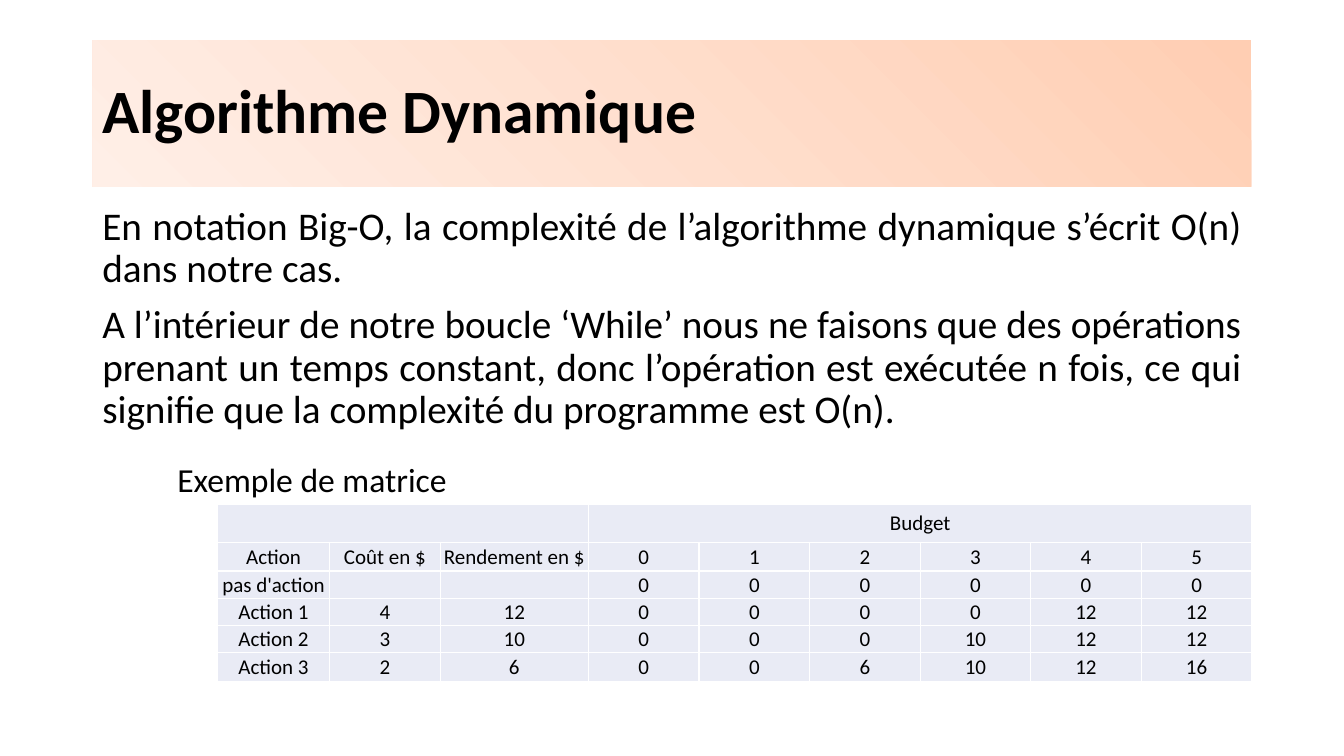
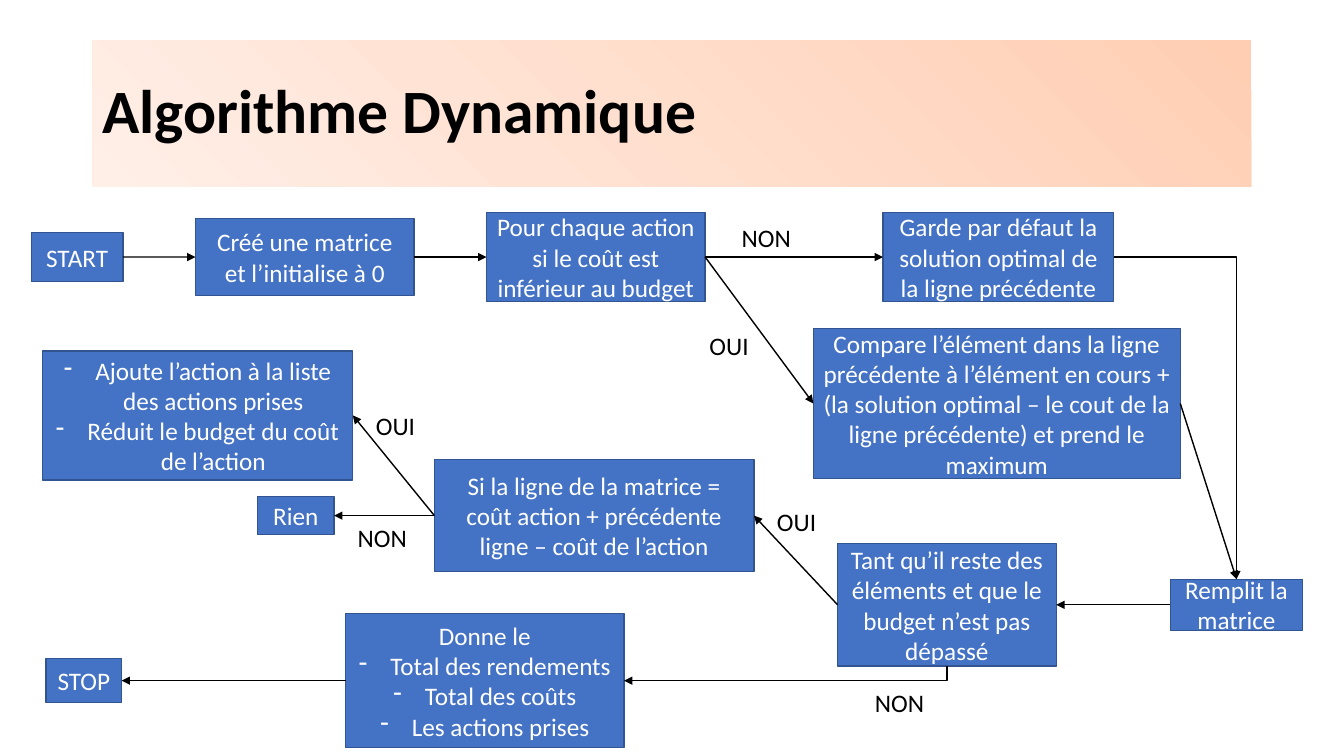
from dataclasses import dataclass

from lxml import etree
from pptx import Presentation
from pptx.dml.color import RGBColor
from pptx.enum import shapes, text
from pptx.oxml import ns
from pptx.util import Pt

BLACK = RGBColor(0x00, 0x00, 0x00)
WHITE = RGBColor(0xFF, 0xFF, 0xFF)
BOX_BLUE = RGBColor(0x44, 0x72, 0xC4)
BOX_EDGE = RGBColor(0x32, 0x54, 0x91)
CELL_FILL = RGBColor(0xE9, 0xEB, 0xF5)
BAND_DARK = RGBColor(0xFF, 0xCE, 0xB3)
BAND_LIGHT = RGBColor(0xFF, 0xEF, 0xE7)

FONT = "Calibri"
TOP, LEFT, BOTTOM, RIGHT = range(4)
MARGIN, CONTENT_WIDTH = 66, 828
BULLET = "- "
BULLET_INDENT = 22.5


@dataclass(frozen=True)
class Step:
    """A box of the flow chart, placed by its left edge and its middle height."""
    left: float
    middle: float
    width: float
    height: float
    label: str


@dataclass(frozen=True)
class Link:
    start: str
    start_side: int
    end: str
    end_side: int
    bent: bool = False


@dataclass(frozen=True)
class Label:
    left: float
    top: float
    width: float
    label: str


ROW_1, ROW_2, ROW_3, ROW_4 = 183.6, 368.3, 432, 486.2

STEPS = {
    "result": Step(247, ROW_4, 198.7, 95.8,
                   "Donne le\n- Total des rendements\n- Total des coûts\n- Les actions prises"),
    "take": Step(30.2, 296.7, 221.8, 92.2,
                 "- Ajoute l’action à la liste des actions prises\n"
                 "- Réduit le budget du coût de l’action"),
    "check": Step(310.3, ROW_2, 228.2, 79.9,
                  "Si la ligne de la matrice = coût action + précédente ligne – coût de l’action"),
    "nothing": Step(183.8, ROW_2, 54.9, 27.4, "Rien"),
    "while": Step(598.3, ROW_3, 156.2, 87.8,
                  "Tant qu’il reste des éléments et que le budget n’est pas dépassé"),
    "fill": Step(836, ROW_3, 94.5, 36.5, "Remplit la matrice"),
    "keep": Step(630.7, ROW_1, 164.9, 63.4,
                 "Garde par défaut la solution optimal de la ligne précédente"),
    "stop": Step(32.9, ROW_4, 54, 31.7, "STOP"),
    "compare": Step(581, 288.2, 262.1, 107.3,
                    "Compare l’élément dans la ligne précédente à l’élément en cours + "
                    "(la solution optimal – le cout de la ligne précédente) "
                    "et prend le maximum"),
    "each": Step(347.5, ROW_1, 156.2, 63.4,
                 "Pour chaque action si le coût est inférieur au budget"),
    "create": Step(139.7, ROW_1, 156.2, 54.7, "Créé une matrice et l’initialise à 0"),
    "start": Step(22.3, ROW_1, 65.5, 35.3, "START"),
}

LINKS = [
    Link("start", RIGHT, "create", LEFT),
    Link("create", RIGHT, "each", LEFT),
    Link("each", RIGHT, "keep", LEFT),
    Link("each", RIGHT, "compare", LEFT),
    Link("compare", RIGHT, "fill", TOP),
    Link("fill", LEFT, "while", RIGHT),
    Link("while", LEFT, "check", RIGHT),
    Link("check", LEFT, "nothing", RIGHT),
    Link("check", LEFT, "take", RIGHT),
    Link("result", LEFT, "stop", RIGHT),
    Link("keep", RIGHT, "fill", TOP, bent=True),
    Link("while", BOTTOM, "result", RIGHT, bent=True),
]

LABELS = [
    Label(499.7, 232.6, 42.5, "OUI"),
    Label(617.8, 487.4, 49.7, "NON"),
    Label(547.9, 357.8, 42.5, "OUI"),
    Label(261.4, 289.4, 42.5, "OUI"),
    Label(522.7, 155.5, 49.7, "NON"),
    Label(248.4, 369.4, 49.7, "NON"),
]

COMPLEXITY = (
    "En notation Big-O, la complexité de l’algorithme dynamique s’écrit O(n) dans notre cas.\n"
    "A l’intérieur de notre boucle ‘While’ nous ne faisons que des opérations prenant un temps "
    "constant, donc l’opération est exécutée n fois, ce qui signifie que la complexité du "
    "programme est O(n)."
)

MATRIX = [
    ["", "", "", "Budget", "", "", "", "", ""],
    ["Action", "Coût en $", "Rendement en $", "0", "1", "2", "3", "4", "5"],
    ["pas d'action", "", "", "0", "0", "0", "0", "0", "0"],
    ["Action 1", "4", "12", "0", "0", "0", "0", "12", "12"],
    ["Action 2", "3", "10", "0", "0", "0", "10", "12", "12"],
    ["Action 3", "2", "6", "0", "0", "6", "10", "12", "16"],
]
MATRIX_WIDTHS = [80, 79, 106] + [79] * 6
MATRIX_HEIGHTS = [27, 20.5, 19.5, 19.5, 19.5, 20.5]


def sub(parent, tag: str, **attributes: str):
    return etree.SubElement(parent, ns.qn(tag), attributes)


def write_text(frame, content: str, *, size: float, color: RGBColor = BLACK,
               bold: bool = False, align=None, spacing: float | None = None,
               before: float | None = None) -> None:
    """Write one paragraph a line; lines that begin with a dash become bullets."""
    for index, line in enumerate(content.split("\n")):
        para = frame.add_paragraph() if index else frame.paragraphs[0]
        para.alignment = align
        if spacing:
            para.line_spacing = spacing
        if before:
            para.space_before = Pt(before)
        if line.startswith(BULLET):
            properties = para._p.get_or_add_pPr()
            properties.set("marL", str(Pt(BULLET_INDENT)))
            properties.set("indent", str(-Pt(BULLET_INDENT)))
            sub(properties, "a:buFontTx")
            sub(properties, "a:buChar", char="-")
        if not line:
            para._p.get_or_add_endParaRPr().set("sz", str(size * 100))
            continue
        span = para.add_run()
        span.text = line.removeprefix(BULLET)
        span.font.name = FONT
        span.font.size = Pt(size)
        span.font.bold = bold
        span.font.color.rgb = color


def add_rectangle(page, left: float, top: float, width: float, height: float):
    box = page.shapes.add_shape(shapes.MSO_SHAPE.RECTANGLE,
                                Pt(left), Pt(top), Pt(width), Pt(height))
    box.shadow.inherit = False
    box.text_frame.vertical_anchor = text.MSO_ANCHOR.MIDDLE
    return box


def add_title(page, title: str) -> None:
    band = add_rectangle(page, MARGIN, 28.75, CONTENT_WIDTH, 104.4)
    band.line.fill.background()
    band.fill.gradient()
    band.fill.gradient_angle = 225
    for stop, color in zip(band.fill.gradient_stops, (BAND_DARK, BAND_LIGHT)):
        stop.color.rgb = color
    write_text(band.text_frame, title, size=44, bold=True,
               align=text.PP_ALIGN.LEFT, spacing=0.9)


def add_label(page, label: Label, size: float, height: float) -> None:
    box = page.shapes.add_textbox(Pt(label.left), Pt(label.top), Pt(label.width), Pt(height))
    box.text_frame.word_wrap = False
    box.text_frame.auto_size = text.MSO_AUTO_SIZE.SHAPE_TO_FIT_TEXT
    write_text(box.text_frame, label.label, size=size)


def format_cell(cell, content: str, margins: tuple[float, ...], anchor) -> None:
    (cell.margin_left, cell.margin_top,
     cell.margin_right, cell.margin_bottom) = map(Pt, margins)
    cell.vertical_anchor = anchor
    properties = cell._tc.get_or_add_tcPr()
    for side in ("a:lnL", "a:lnR", "a:lnT", "a:lnB"):
        border = sub(properties, side, w=str(Pt(1)))
        sub(sub(border, "a:solidFill"), "a:srgbClr", val=str(WHITE))
    cell.fill.solid()
    cell.fill.fore_color.rgb = CELL_FILL
    write_text(cell.text_frame, content, size=15, align=text.PP_ALIGN.CENTER)


def add_matrix(page, left: float, top: float) -> None:
    table = page.shapes.add_table(len(MATRIX), len(MATRIX_WIDTHS), Pt(left), Pt(top),
                                  Pt(sum(MATRIX_WIDTHS)), Pt(sum(MATRIX_HEIGHTS))).table
    table.first_row = table.horz_banding = False
    for column, width in zip(table.columns, MATRIX_WIDTHS):
        column.width = Pt(width)
    for row, height in zip(table.rows, MATRIX_HEIGHTS):
        row.height = Pt(height)
    for r, values in enumerate(MATRIX):
        margins = (0.7, 0.7, 0.7, 0) if r else (8.6, 4.3, 8.6, 4.3)
        anchor = text.MSO_ANCHOR.MIDDLE if r else text.MSO_ANCHOR.BOTTOM
        for c, value in enumerate(values):
            format_cell(table.cell(r, c), value, margins, anchor)
    table.cell(0, 0).merge(table.cell(0, 2))
    table.cell(0, 3).merge(table.cell(0, 8))


def add_step(page, step: Step):
    box = add_rectangle(page, step.left, step.middle - step.height / 2,
                        step.width, step.height)
    box.fill.solid()
    box.fill.fore_color.rgb = BOX_BLUE
    box.line.color.rgb = BOX_EDGE
    box.line.width = Pt(1)
    write_text(box.text_frame, step.label, size=18, color=WHITE, align=text.PP_ALIGN.CENTER)
    return box


def turn_down_first(connector) -> None:
    """Turn a one-corner connector so that it goes down, then left."""
    across = connector.begin_x - connector.end_x
    down = connector.end_y - connector.begin_y
    center_x = (connector.begin_x + connector.end_x) // 2
    center_y = (connector.begin_y + connector.end_y) // 2
    connector._element.spPr.xfrm.flipH = False
    connector.left, connector.top = center_x - down // 2, center_y - across // 2
    connector.width, connector.height = down, across
    connector.rotation = 90


def add_link(page, link: Link, boxes: dict) -> None:
    kind = shapes.MSO_CONNECTOR.ELBOW if link.bent else shapes.MSO_CONNECTOR.STRAIGHT
    connector = page.shapes.add_connector(kind, Pt(0), Pt(0), Pt(0), Pt(0))
    connector.begin_connect(boxes[link.start], link.start_side)
    connector.end_connect(boxes[link.end], link.end_side)
    connector.line.color.rgb = BLACK
    connector.line.width = Pt(1)
    properties = connector._element.spPr
    sub(connector.line._get_or_add_ln(), "a:tailEnd", type="triangle")
    sub(properties, "a:effectLst")
    if link.bent:
        properties.find(ns.qn("a:prstGeom")).set("prst", "bentConnector2")
        if link.start_side == BOTTOM:
            turn_down_first(connector)


def build_complexity(page) -> None:
    body = page.shapes.add_textbox(Pt(MARGIN), Pt(143.75), Pt(CONTENT_WIDTH), Pt(342.6))
    body.text_frame.word_wrap = True
    write_text(body.text_frame, COMPLEXITY, size=28, align=text.PP_ALIGN.JUSTIFY,
               spacing=0.9, before=10)
    add_matrix(page, 155.4, 360.4)
    add_label(page, Label(119.6, 324, 208.8, "Exemple de matrice"), 24, 36.3)


def build_flow_chart(page) -> None:
    boxes = {name: add_step(page, step) for name, step in STEPS.items()}
    for link in LINKS:
        add_link(page, link, boxes)
    for label in LABELS:
        add_label(page, label, 18, 29.1)


def main() -> None:
    deck = Presentation()
    deck.slide_width, deck.slide_height = Pt(960), Pt(540)
    for build in (build_complexity, build_flow_chart):
        page = deck.slides.add_slide(deck.slide_layouts[6])
        add_title(page, "Algorithme Dynamique")
        build(page)
    deck.save("out.pptx")


if __name__ == "__main__":
    main()
